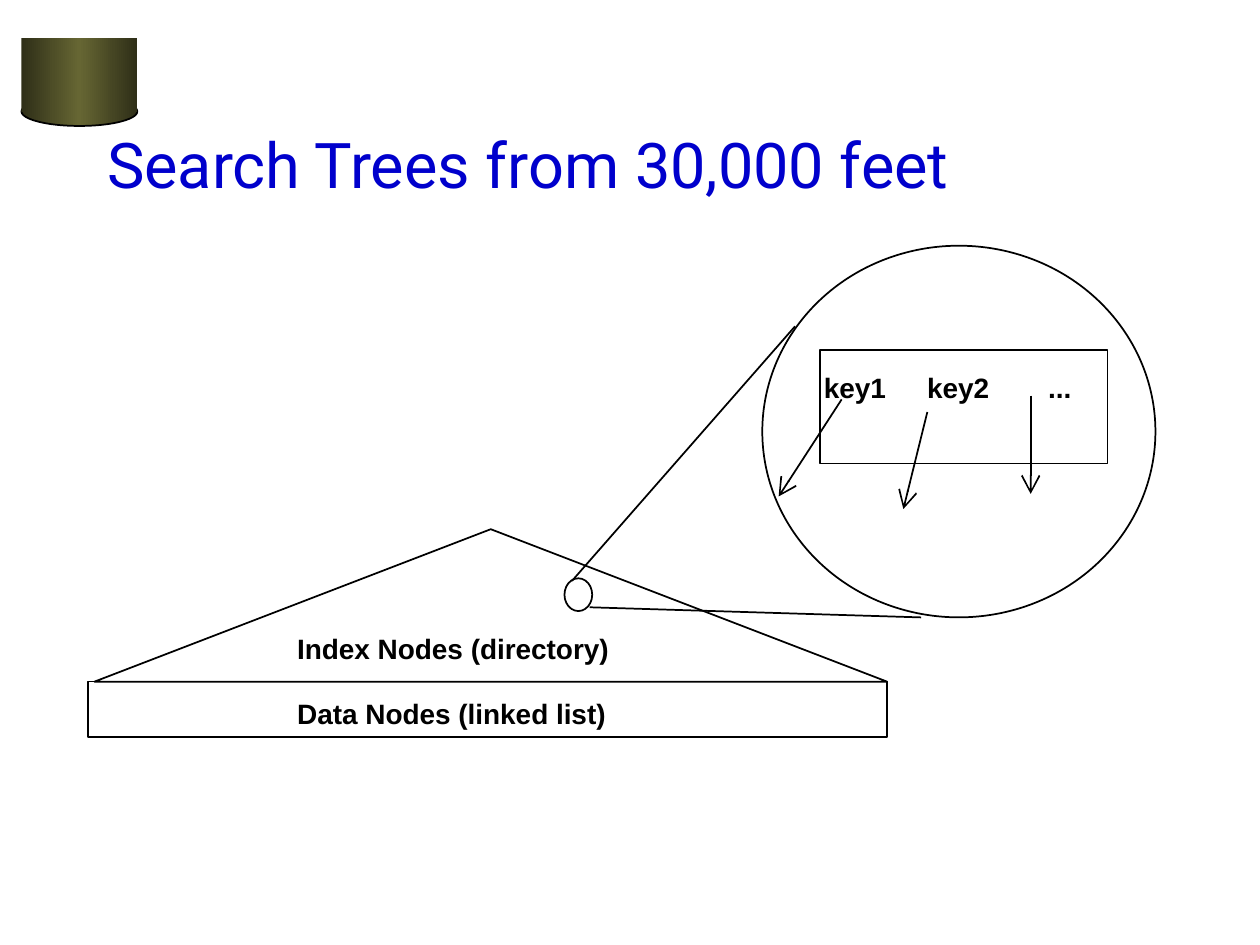
from copy import deepcopy
from lxml import etree
from pptx import Presentation
from pptx.dml.color import RGBColor
from pptx.enum.shapes import MSO_CONNECTOR, MSO_SHAPE
from pptx.enum.text import MSO_ANCHOR, PP_ALIGN
from pptx.oxml.ns import qn
from pptx.util import Pt

PX = 9144
OVAL = MSO_SHAPE.OVAL
RECT = MSO_SHAPE.RECTANGLE
PEAK = MSO_SHAPE.ISOSCELES_TRIANGLE
LINE = MSO_CONNECTOR.STRAIGHT
LEFT = PP_ALIGN.LEFT
MIDDLE = MSO_ANCHOR.MIDDLE
TOP = MSO_ANCHOR.TOP
HEX = {"ink": "000000", "title": "0000CC", "edge": "2F2F18", "glow": "666633"}


def color(name):
    return RGBColor.from_string(HEX[name])


def emu(*sizes):
    return [size * PX for size in sizes]


def write(shape, text, font="Arial", size=16, ink="ink", bold=True,
          wrap=False, anchor=TOP):
    frame = shape.text_frame
    frame.word_wrap = wrap
    frame.vertical_anchor = anchor
    frame.margin_left = frame.margin_right = 10 * PX
    frame.margin_top = frame.margin_bottom = 5 * PX
    para = frame.paragraphs[0]
    para.alignment = LEFT
    run = para.add_run()
    run.text = text
    run.font.name = font
    run.font.size = Pt(size)
    run.font.bold = bold
    run.font.color.rgb = color(ink)


def label(slide, text, x, y, w):
    write(slide.shapes.add_textbox(*emu(x, y, w, 37)), text)


def stroke(shape):
    shape.line.color.rgb = color("ink")
    shape.line.width = Pt(1)


def outline(slide, kind, x, y, w, h):
    shape = slide.shapes.add_shape(kind, *emu(x, y, w, h))
    shape.shadow.inherit = False
    shape.fill.background()
    stroke(shape)
    return shape


def line(slide, x1, y1, x2, y2, arrow=False):
    link = slide.shapes.add_connector(LINE, *emu(x1, y1, x2, y2))
    stroke(link)
    if arrow:
        etree.SubElement(link.line._get_or_add_ln(), qn("a:tailEnd"),
                         type="arrow", w="lg", len="lg")
    etree.SubElement(link._element.spPr, qn("a:effectLst"))


def shade(shape):
    fill = shape.fill
    fill.gradient()
    fill.gradient_angle = 0
    stops = shape._element.spPr.find(".//" + qn("a:gsLst"))
    stops.append(deepcopy(stops[0]))
    looks = zip(fill.gradient_stops, (0, 0.5, 1), ("edge", "glow", "edge"))
    for stop, place, name in looks:
        stop.position = place
        stop.color.rgb = color(name)


def drum(slide, x, y, w, h):
    base = outline(slide, OVAL, x, y + h - 23, w, 23)
    body = outline(slide, RECT, x, y, w, h - 11)
    body.line.fill.background()
    for part in (base, body):
        shade(part)


def heading(slide, x, y, w, h):
    title = slide.shapes.title
    title.left, title.top, title.width, title.height = emu(x, y, w, h)
    write(title, "Search Trees from 30,000 feet", font="Roboto", size=36,
          ink="title", bold=False, wrap=True, anchor=MIDDLE)


def tree(slide, x, y, w, h):
    base = 44
    roof = h - base
    outline(slide, PEAK, x + 5, y, w - 5, roof)
    outline(slide, RECT, x, y + roof, w, base)
    label(slide, "Index Nodes (directory)", x + 156, y + 76, 268)
    label(slide, "Data Nodes (linked list)", x + 156, y + 128, 265)


def zoom(slide, x, y, w, h):
    outline(slide, OVAL, x - 157, y + 264, 22, 26)
    line(slide, x - 151, y + 266, x + 26, y + 64)
    line(slide, x - 137, y + 287, x + 126, y + h)
    outline(slide, OVAL, x, y, w, h)
    outline(slide, RECT, x + 46, y + 83, 228, 90)
    keys = [
        ("key1", 39, 70, (63, 122, 13, 199)),
        ("key2", 121, 70, (131, 132, 112, 209)),
        ("...", 217, 39, (213, 119, 213, 197)),
    ]
    for text, left, wide, (x1, y1, x2, y2) in keys:
        label(slide, text, x + left, y + 94, wide)
        line(slide, x + x1, y + y1, x + x2, y + y2, arrow=True)


def main():
    deck = Presentation()
    deck.slide_width, deck.slide_height = emu(1000, 750)
    slide = deck.slides.add_slide(deck.slide_layouts[5])
    drum(slide, 17, 30, 92, 70)
    heading(slide, 75, 67, 850, 125)
    tree(slide, 70, 420, 634, 165)
    zoom(slide, 605, 195, 312, 295)
    deck.save("out.pptx")


if __name__ == "__main__":
    main()
